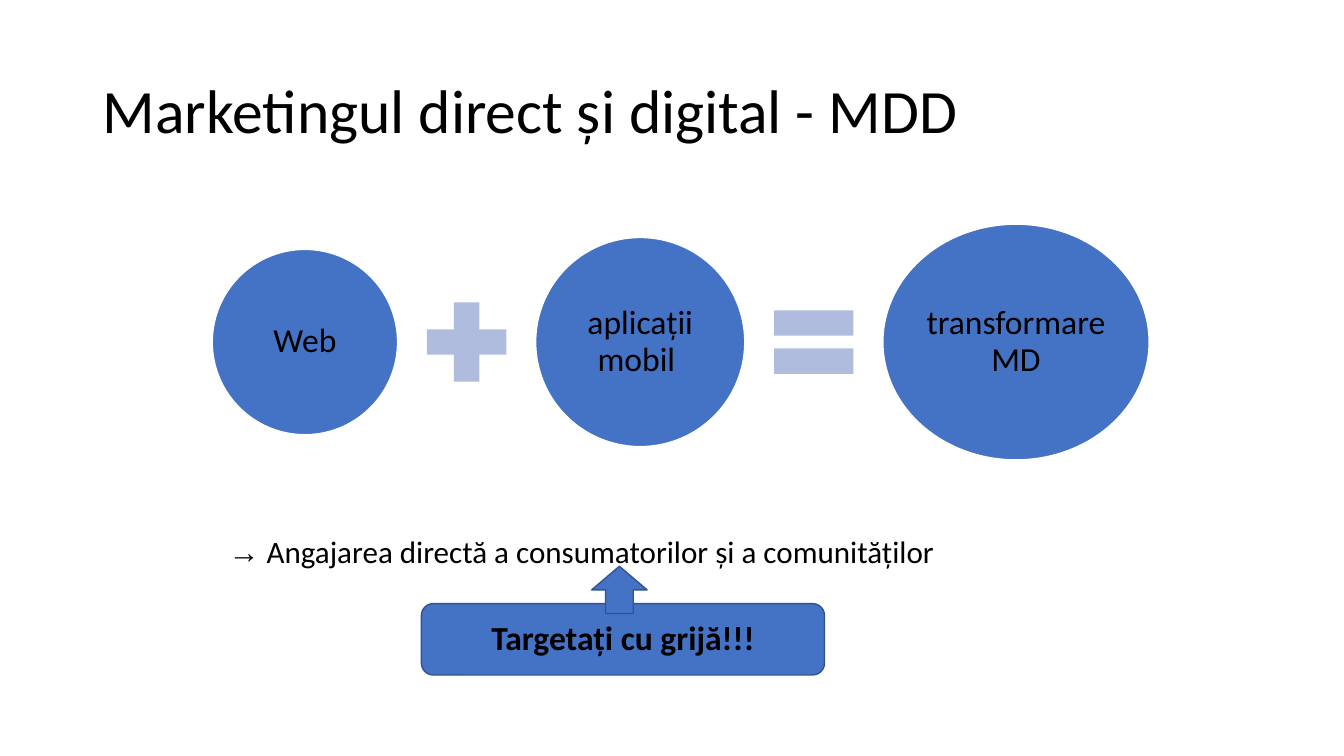
from dataclasses import dataclass

import pptx
import pptx.dml.color
import pptx.enum.shapes
import pptx.enum.text
import pptx.util
from pptx.util import Cm

SHAPES = pptx.enum.shapes.MSO_SHAPE
ALIGN = pptx.enum.text.PP_ALIGN
MIDDLE = pptx.enum.text.MSO_ANCHOR.MIDDLE


@dataclass(frozen=True)
class Theme:
    font: str = "Calibri"
    arrow_font: str = "Times New Roman"
    text: str = "000000"
    blue: str = "4472C4"
    outline: str = "325491"
    operator: str = "B0BCDE"
    white: str = "FFFFFF"
    title_size: float = 44
    label_size: float = 24
    body_size: float = 22.2


THEME = Theme()


def rgb(value):
    return pptx.dml.color.RGBColor.from_string(value)


def format_run(run, size, bold=False, font=THEME.font):
    run.font.name = font
    run.font.size = pptx.util.Pt(size)
    run.font.bold = bold
    run.font.color.rgb = rgb(THEME.text)


def add_text(slide, box, texts, size, fonts):
    """Add one left-aligned line whose runs each have their own font."""
    frame = slide.shapes.add_textbox(*map(Cm, box)).text_frame
    frame.word_wrap = True
    frame.vertical_anchor = MIDDLE
    line = frame.paragraphs[0]
    line.line_spacing = 0.9
    for text, font in zip(texts, fonts):
        run = line.add_run()
        run.text = text
        format_run(run, size, font=font)


def add_figure(slide, kind, box, fill, outline=None):
    figure = slide.shapes.add_shape(kind, *map(Cm, box))
    figure.shadow.inherit = False
    figure.fill.solid()
    figure.fill.fore_color.rgb = rgb(fill)
    if outline:
        figure.line.color.rgb = rgb(outline)
        figure.line.width = pptx.util.Pt(1)
    else:
        figure.line.fill.background()
    return figure


def label_figure(figure, text, bold=False):
    frame = figure.text_frame
    frame.word_wrap = True
    frame.vertical_anchor = MIDDLE
    frame.margin_left = frame.margin_right = Cm(0.08)
    frame.margin_top = frame.margin_bottom = Cm(0.08)
    frame.text = text
    line = frame.paragraphs[0]
    line.alignment = ALIGN.CENTER
    line.line_spacing = 0.9
    format_run(line.runs[0], THEME.label_size, bold)


def add_equation(slide, left, middle, gap, terms):
    """Lay circles and operators in a row, centred on one height."""
    for kind, width, height, text in terms:
        box = (left, middle - height / 2, width, height)
        if text:
            circle = add_figure(slide, kind, box, THEME.blue, THEME.white)
            label_figure(circle, text)
        else:
            add_figure(slide, kind, box, THEME.operator)
        left += width + gap


def main():
    deck = pptx.Presentation()
    deck.slide_width, deck.slide_height = Cm(33.87), Cm(19.05)
    slide = deck.slides.add_slide(deck.slide_layouts[6])

    add_text(slide, (2.34, 1.02, 29.21, 3.68),
             ["Marketingul direct și digital - MDD"],
             THEME.title_size, [THEME.font])
    add_equation(slide, 5.35, 8.62, 0.38, [
        (SHAPES.OVAL, 4.67, 4.67, "Web"),
        (SHAPES.MATH_PLUS, 2.72, 2.72, None),
        (SHAPES.OVAL, 5.27, 5.27, "aplicații mobil "),
        (SHAPES.MATH_EQUAL, 2.72, 2.72, None),
        (SHAPES.OVAL, 6.71, 5.94, "transformare MD"),
    ])
    add_text(slide, (5.51, 13.2, 22.86, 1.5),
             ["→", " Angajarea directă a consumatorilor și a comunităților"],
             THEME.body_size, [THEME.arrow_font, THEME.font])
    warning = add_figure(slide, SHAPES.ROUNDED_RECTANGLE,
                         (10.62, 15.21, 10.16, 1.8), THEME.blue, THEME.outline)
    label_figure(warning, "Targetați cu grijă!!!", bold=True)
    add_figure(slide, SHAPES.UP_ARROW, (14.91, 14.27, 1.4, 1.19),
               THEME.blue, THEME.outline)

    deck.save("out.pptx")


if __name__ == "__main__":
    main()
